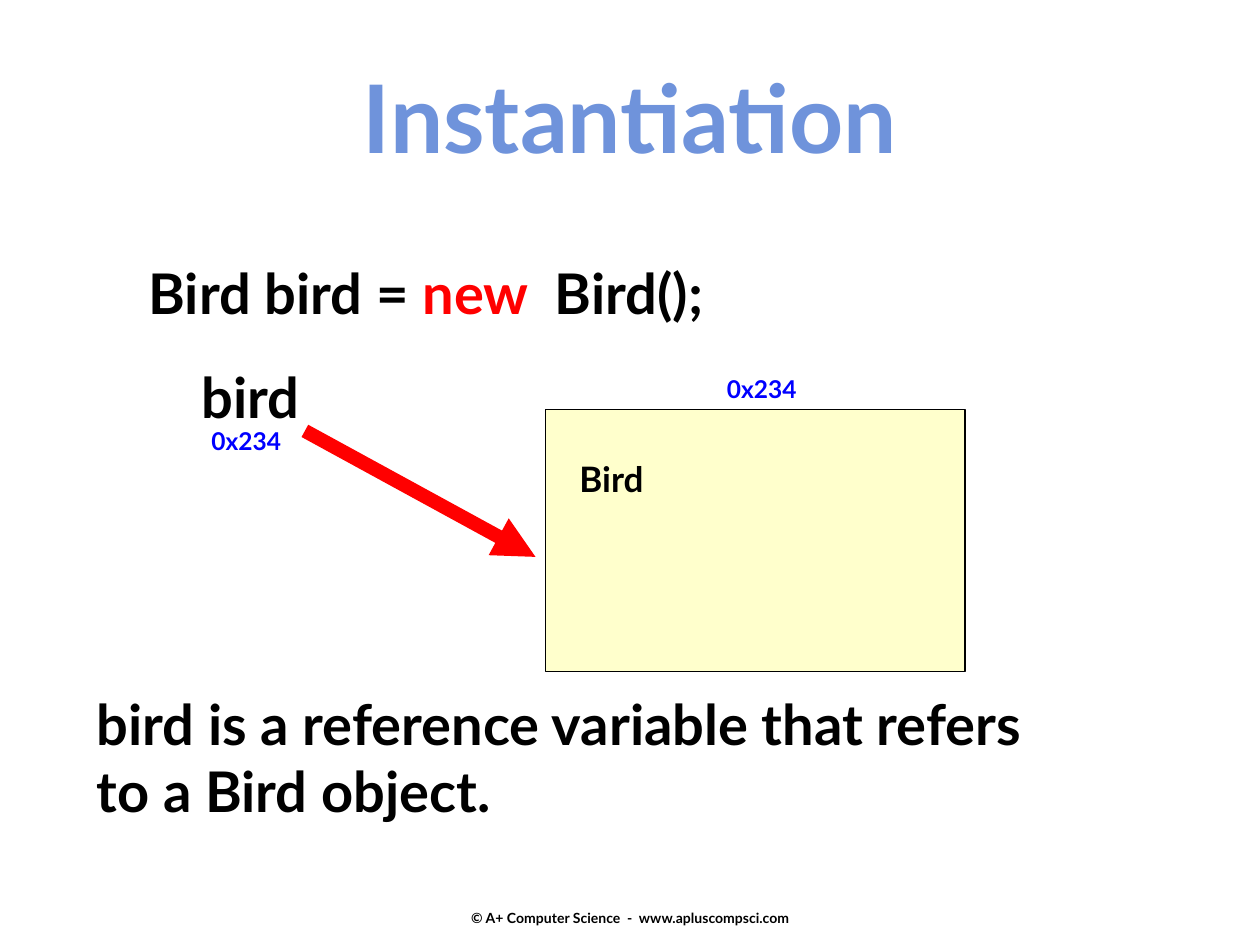
"""Build the slide that explains instantiation of a Bird object."""
from lxml import etree
from pptx import Presentation
from pptx.dml.color import RGBColor
from pptx.enum.shapes import MSO_CONNECTOR, MSO_SHAPE
from pptx.enum.text import MSO_ANCHOR, PP_ALIGN
from pptx.oxml.ns import qn
from pptx.util import Inches, Pt

STRAIGHT = MSO_CONNECTOR.STRAIGHT
RECTANGLE = MSO_SHAPE.RECTANGLE
TOP, MIDDLE = MSO_ANCHOR.TOP, MSO_ANCHOR.MIDDLE
LEFT, CENTER = PP_ALIGN.LEFT, PP_ALIGN.CENTER
BLACK, RED, BLUE = "000000", "FF0000", "0000FF"


def color(value):
    return RGBColor.from_string(value)


def write(shape, lines, size, alignment=LEFT, anchor=TOP):
    frame = shape.text_frame
    frame.word_wrap = True
    frame.vertical_anchor = anchor
    for index, runs in enumerate(lines):
        paragraph = frame.add_paragraph() if index else frame.paragraphs[0]
        paragraph.alignment = alignment
        for text, run_color in runs:
            run = paragraph.add_run()
            run.text = text
            run.font.name = "Lato"
            run.font.size = Pt(size)
            run.font.bold = True
            run.font.color.rgb = color(run_color)


presentation = Presentation()
presentation.slide_width = Inches(10)
presentation.slide_height = Inches(7.5)
slide = presentation.slides.add_slide(presentation.slide_layouts[5])

title = slide.shapes.title
title.left, title.top = Inches(0), Inches(0.42)
title.width, title.height = Inches(10), Inches(1.01)
write(title, [[("Instantiation", "6F93DB")]], 54, CENTER)

bird_object = slide.shapes.add_shape(
    RECTANGLE, Inches(4.33), Inches(3.25), Inches(3.33), Inches(2.08))
bird_object.shadow.inherit = False
bird_object.fill.solid()
bird_object.fill.fore_color.rgb = color("FFFFCC")
bird_object.line.color.rgb = color(BLACK)
bird_object.line.width = Pt(1)

statement = [("Bird bird = ", BLACK), ("new ", RED), (" Bird();", BLACK)]
address = [("0x234", BLUE)]
explanation = [
    [("bird is a reference variable that refers", BLACK)],
    [("to a Bird object.", BLACK)],
]
copyright_line = [("© A+ Computer Science  -  www.apluscompsci.com", BLACK)]
text_boxes = [
    (1.08, 2, 5.49, 0.64, [statement], 32, LEFT, TOP),
    (1.5, 2.83, 1.1, 0.64, [[("bird", BLACK)]], 32, LEFT, TOP),
    (0.67, 5.42, 8.74, 1.18, explanation, 32, LEFT, TOP),
    (5.67, 2.92, 0.92, 0.33, [address], 14, LEFT, TOP),
    (1.58, 3.33, 0.92, 0.33, [address], 14, LEFT, TOP),
    (4.5, 3.58, 0.78, 0.44, [[("Bird", BLACK)]], 20, LEFT, TOP),
    (3.42, 7.16, 3.17, 0.25, [copyright_line], 8, CENTER, MIDDLE),
]
for left, top, width, height, lines, size, alignment, anchor in text_boxes:
    text_box = slide.shapes.add_textbox(
        Inches(left), Inches(top), Inches(width), Inches(height))
    write(text_box, lines, size, alignment, anchor)

reference_arrow = slide.shapes.add_connector(
    STRAIGHT, Inches(2.42), Inches(3.42), Inches(4.25), Inches(4.42))
reference_arrow.line.color.rgb = color(RED)
reference_arrow.line.width = Pt(8)
properties = reference_arrow.line._get_or_add_ln()
etree.SubElement(properties, qn("a:tailEnd"), type="triangle")
etree.SubElement(reference_arrow._element.spPr, qn("a:effectLst"))

presentation.save("out.pptx")
